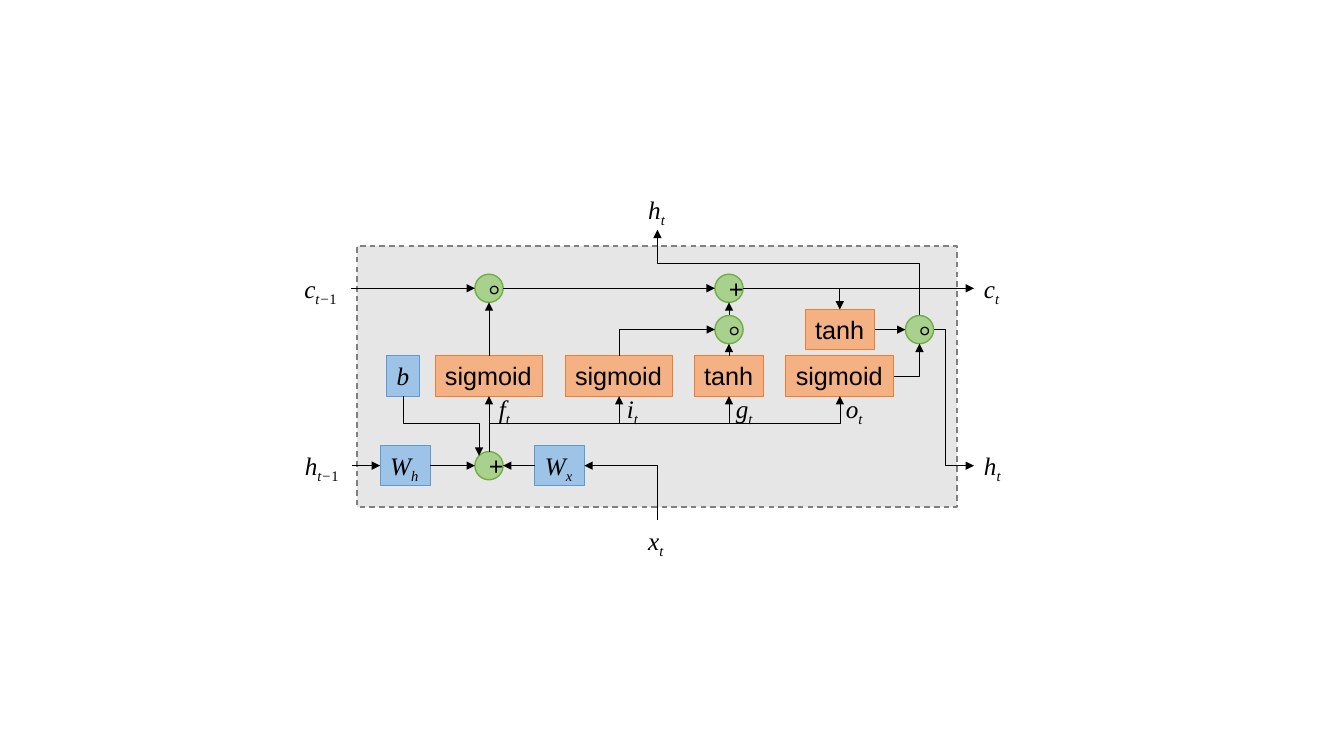
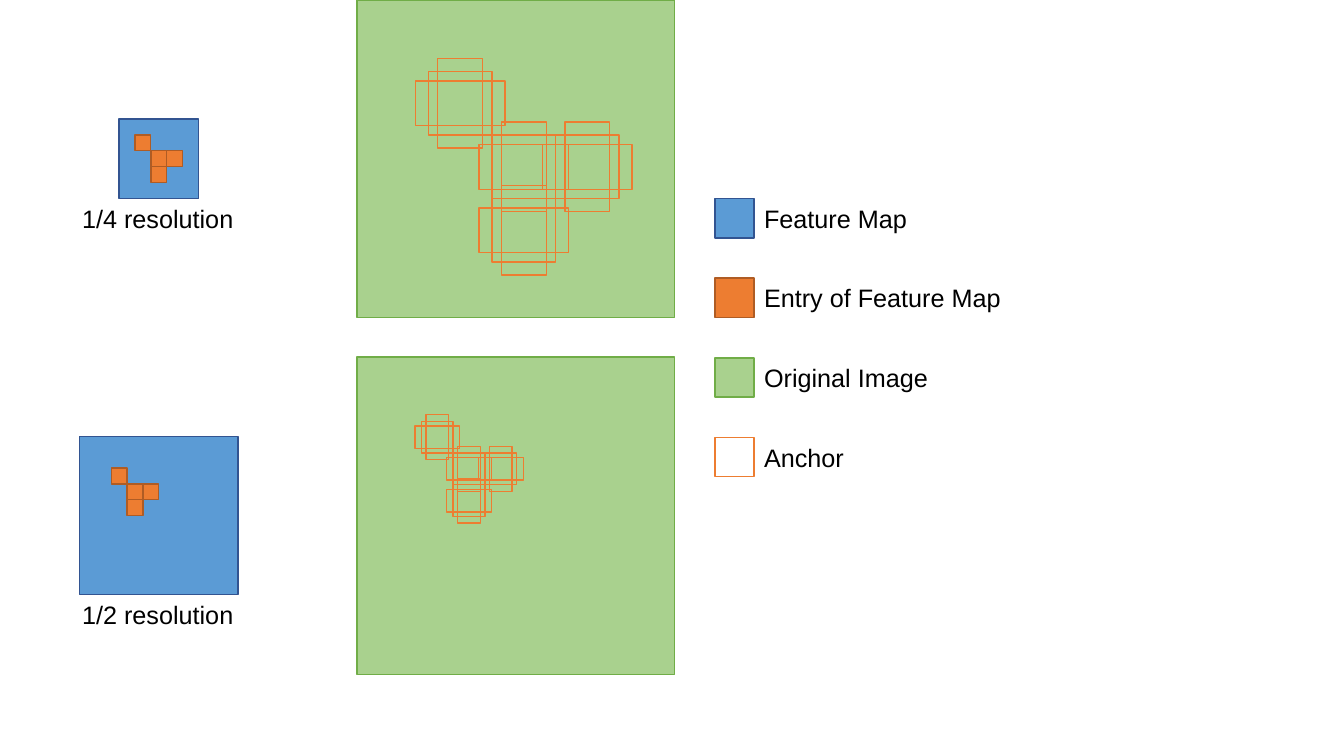
from dataclasses import dataclass
from itertools import groupby
from math import sqrt

from pptx import Presentation
from pptx.dml.color import RGBColor
from pptx.enum.dml import MSO_LINE_DASH_STYLE as DASH
from pptx.enum.shapes import MSO_CONNECTOR as CONN, MSO_SHAPE as SHAPE, MSO_SHAPE_TYPE as KIND
from pptx.enum.text import MSO_AUTO_SIZE as AUTO, PP_ALIGN as ALIGN
from pptx.oxml.ns import qn
from pptx.oxml.xmlchemy import OxmlElement
from pptx.util import Pt

SCALE = 9144
TOP, LEFT, BOTTOM, RIGHT, UPPER_LEFT = range(5)
SITES = {TOP: (0.5, 0), LEFT: (0, 0.5), BOTTOM: (0.5, 1), RIGHT: (1, 0.5), UPPER_LEFT: (0.15, 0.15)}


@dataclass(frozen=True)
class Paint:
    """Fill colour, line colour and line width of a shape."""
    fill: str | None
    line: str
    width: float = 1


@dataclass(frozen=True)
class Theme:
    """Colours, fonts and sizes shared by the slides."""
    ink: str = "000000"
    sans: str = "Arial"
    serif: str = "Times New Roman"
    size: int = 18
    arrow: float = 0.5
    frame: Paint = Paint("E7E6E6", "808080")
    gate: Paint = Paint("F4B183", "ED7D31", 0.75)
    weight: Paint = Paint("9DC3E6", "5B9BD5", 0.75)
    green: Paint = Paint("A9D18E", "70AD47")
    feature: Paint = Paint("5B9BD5", "325491")
    entry: Paint = Paint("ED7D31", "AF5C24")
    anchor: Paint = Paint(None, "ED7D31")


T = Theme()


def px(n):
    """Turn px into EMU."""
    return round(n * SCALE)


def paint(sp, style):
    """Give a shape its fill and outline."""
    if style.fill:
        sp.fill.solid()
        sp.fill.fore_color.rgb = RGBColor.from_string(style.fill)
    else:
        sp.fill.background()
    sp.line.color.rgb = RGBColor.from_string(style.line)
    sp.line.width = Pt(style.width)


def write(p, text, font=T.sans, italic=False, sub=False):
    """Add a run of formatted text to a paragraph."""
    r = p.add_run()
    r.text = text
    r.font.name, r.font.size, r.font.italic = font, Pt(T.size), italic
    r.font.color.rgb = RGBColor.from_string(T.ink)
    if sub:
        r.font._element.set("baseline", "-25000")


def box(slide, x, y, w, h, style, kind=SHAPE.RECTANGLE):
    """Draw a painted shape at its left top corner."""
    sp = slide.shapes.add_shape(kind, px(x), px(y), px(w), px(h))
    sp.shadow.inherit = False
    paint(sp, style)
    return sp


def label(slide, cx, cy, w, text, style=None, h=40):
    """Place a one-line text box around its centre."""
    sp = slide.shapes.add_textbox(px(cx - w / 2), px(cy - h / 2), px(w), px(h))
    tf = sp.text_frame
    tf.word_wrap, tf.auto_size = False, AUTO.SHAPE_TO_FIT_TEXT
    if style:
        paint(sp, style)
    write(tf.paragraphs[0], text)
    return sp


def symbol(slide, cx, cy, w, text, sub="", style=None):
    """Place an italic variable with its subscript, digits upright."""
    sp = label(slide, cx, cy, w, "", style)
    p = sp.text_frame.paragraphs[0]
    p.clear()
    write(p, text, font=T.serif, italic=True)
    for digit, chars in groupby(sub, str.isdigit):
        write(p, "".join(chars), font=T.serif, italic=not digit, sub=True)
    return sp


def operator(slide, cx, cy, text, d=28):
    """Place a round operator around its centre."""
    sp = box(slide, cx - d / 2, cy - d / 2, d, d, T.green, SHAPE.OVAL)
    p = sp.text_frame.paragraphs[0]
    p.alignment = ALIGN.CENTER
    write(p, text)
    return sp


def site(sp, side):
    """Return the point on a side of a shape."""
    fx, fy = SITES[side]
    return sp.left + round(sp.width * fx), sp.top + round(sp.height * fy)


def elbow(slide, start, end, upright, corners, adjust):
    """Draw a bent connector, turned when it starts upright."""
    (x1, y1), (x2, y2) = start, end
    turn = 0
    if upright:
        dx, dy = x2 - x1, y2 - y1
        turn, sign = (90, 1) if dx * dy < 0 else (270, -1)
        cx, cy, u, v = (x1 + x2) // 2, (y1 + y2) // 2, sign * dy // 2, sign * dx // 2
        x1, y1, x2, y2 = cx - u, cy + v, cx + u, cy - v
    c = slide.shapes.add_connector(CONN.ELBOW, x1, y1, x2, y2)
    spPr = c._element.spPr
    if turn:
        spPr.find(qn("a:xfrm")).set("rot", str(turn * 60000))
    geom = spPr.find(qn("a:prstGeom"))
    geom.set("prst", f"bentConnector{corners + 1}")
    if adjust is not None:
        gd = OxmlElement("a:gd")
        gd.set("name", "adj1")
        gd.set("fmla", f"val {round(adjust * 100000)}")
        geom.get_or_add_avLst().append(gd)
    return c


def link(slide, a, side_a, b, side_b, adjust=None):
    """Draw an arrow from a side of one shape to a side of another."""
    start, end = site(a, side_a), site(b, side_b)
    if start[0] == end[0] or start[1] == end[1]:
        c = slide.shapes.add_connector(CONN.STRAIGHT, *start, *end)
        if a.shape_type == KIND.TEXT_BOX:
            c.begin_connect(a, side_a)
        if b.shape_type == KIND.TEXT_BOX:
            c.end_connect(b, side_b)
    else:
        upright, lands = (s in (TOP, BOTTOM, UPPER_LEFT) for s in (side_a, side_b))
        c = elbow(slide, start, end, upright, 2 if upright == lands else 1, adjust)
    c.line.color.rgb = RGBColor.from_string(T.ink)
    c.line.width = Pt(T.arrow)
    tail = OxmlElement("a:tailEnd")
    tail.set("type", "triangle")
    c.line._get_or_add_ln().append(tail)
    c._element.spPr.append(OxmlElement("a:effectLst"))


def lstm_cell(slide, x, y, w, h):
    """Draw the LSTM cell with its inputs and outputs around a frame."""
    frame = box(slide, x, y, w, h, T.frame)
    frame.line.dash_style = DASH.DASH
    f_x, i_x, g_x, o_x, out_x, mid_x = (x + n for n in (131, 260, 369, 479, 558, 298))
    state_y, upper_y, gate_y, name_y, sum_y = (y + n for n in (42, 83, 129, 161, 218))

    forget, write_in, out_gate = (label(slide, cx, gate_y, 107, "sigmoid", T.gate) for cx in (f_x, i_x, o_x))
    candidate, squash = (label(slide, cx, cy, 69, "tanh", T.gate)
                         for cx, cy in ((g_x, gate_y), (o_x, upper_y)))
    bias = symbol(slide, x + 46, gate_y, 33, "b", style=T.weight)
    w_h = symbol(slide, x + 48, sum_y, 50, "W", "h", T.weight)
    w_x = symbol(slide, x + 201, sum_y, 49, "W", "x", T.weight)

    c_prev = symbol(slide, x - 34, state_y, 56, "c", "t−1")
    h_prev = symbol(slide, x - 33, sum_y, 57, "h", "t−1")
    x_in = symbol(slide, mid_x, y + 292, 38, "x", "t")
    h_top = symbol(slide, mid_x, y - 36, 38, "h", "t")
    c_next = symbol(slide, x + 630, state_y, 36, "c", "t")
    h_next = symbol(slide, x + 631, sum_y, 38, "h", "t")
    for cx, width, name in ((f_x + 16, 32, "f"), (i_x + 14, 32, "i"), (g_x + 16, 38, "g"), (o_x + 15, 38, "o")):
        symbol(slide, cx, name_y, width, name, "t")

    keep, admit, emit = (operator(slide, cx, cy, "৹")
                         for cx, cy in ((f_x, state_y), (g_x, upper_y), (out_x, upper_y)))
    add, total = (operator(slide, cx, cy, "+") for cx, cy in ((g_x, state_y), (f_x, sum_y)))

    for arrow in (
        (x_in, TOP, w_x, RIGHT),
        (w_x, LEFT, total, RIGHT),
        (h_prev, RIGHT, w_h, LEFT),
        (w_h, RIGHT, total, LEFT),
        (bias, BOTTOM, total, UPPER_LEFT, 0.45),
        *((total, TOP, gate, BOTTOM) for gate in (forget, write_in, candidate, out_gate)),
        (c_prev, RIGHT, keep, LEFT),
        (forget, TOP, keep, BOTTOM),
        (keep, RIGHT, add, LEFT),
        (write_in, TOP, admit, LEFT),
        (candidate, TOP, admit, BOTTOM),
        (admit, TOP, add, BOTTOM),
        (add, RIGHT, c_next, LEFT),
        (add, RIGHT, squash, TOP),
        (squash, RIGHT, emit, LEFT),
        (out_gate, RIGHT, emit, BOTTOM),
        (emit, RIGHT, h_next, LEFT, 0.28),
        (emit, TOP, h_top, BOTTOM, 0.61),
    ):
        link(slide, *arrow)


def feature_map(slide, x, y, side, grid, entries, caption):
    """Draw a feature map with its marked entries and a caption."""
    box(slide, x, y, side, side, T.feature)
    cell = side / grid
    for col, row in entries:
        box(slide, x + col * cell, y + row * cell, cell, cell, T.entry)
    label(slide, x + side / 2, y + side + 20, 172, caption)


def anchored_image(slide, x, y, side, grid, entries, shift):
    """Draw an image with square, wide and tall anchors at each entry."""
    box(slide, x, y, side, side, T.green)
    cell = side / grid
    long, short = cell * sqrt(2), cell / sqrt(2)
    for col, row in entries:
        cx, cy = x + shift + (col + 0.5) * cell, y + shift + (row + 0.5) * cell
        for w, h in ((cell, cell), (short, long), (long, short)):
            box(slide, cx - w / 2, cy - h / 2, w, h, T.anchor)


def legend(slide, x, y, side=39, step=79):
    """Draw the column of colour keys."""
    keys = (("Feature Map", 163, T.feature), ("Entry of Feature Map", 257, T.entry),
            ("Original Image", 184, T.green), ("Anchor", 100, T.anchor))
    for i, (text, w, style) in enumerate(keys):
        top = y + i * step
        box(slide, x, top, side, side, style)
        label(slide, x + side + w / 2, top + side / 2, w, text)


def anchor_slide(slide):
    """Draw both resolutions and the legend."""
    coarse = ((1, 1), (2, 2), (3, 2), (2, 3))
    fine = [(col + 1, row + 1) for col, row in coarse]
    feature_map(slide, 118, 118, 79, 5, coarse, "1/4 resolution")
    feature_map(slide, 79, 433, 157, 10, fine, "1/2 resolution")
    anchored_image(slide, 354, 0, 315, 5, coarse, 8)
    anchored_image(slide, 354, 354, 315, 10, fine, 1)
    legend(slide, 709, 197)


def main():
    """Build and save the presentation."""
    prs = Presentation()
    prs.slide_width, prs.slide_height = px(1333), px(750)
    blank = prs.slide_layouts[6]
    lstm_cell(prs.slides.add_slide(blank), 354, 244, 595, 259)
    anchor_slide(prs.slides.add_slide(blank))
    prs.save("out.pptx")


if __name__ == "__main__":
    main()
